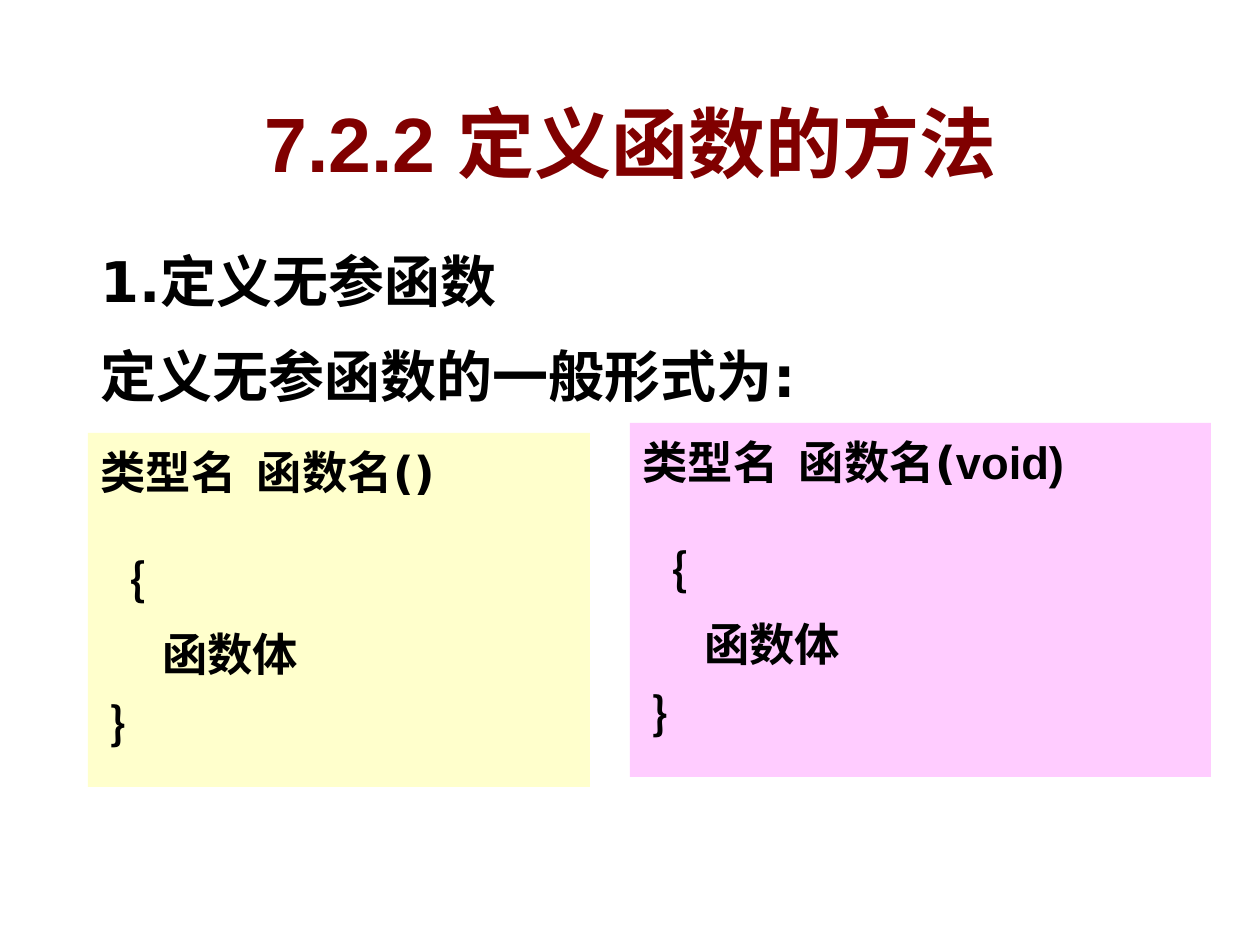
from lxml.etree import SubElement
from pptx import Presentation
from pptx.dml.color import RGBColor
from pptx.enum.shapes import MSO_SHAPE
from pptx.enum.text import MSO_ANCHOR, PP_ALIGN
from pptx.oxml import parse_xml
from pptx.oxml.ns import nsdecls, qn
from pptx.util import Emu, Pt

PIXELS_PER_INCH = 126
MAROON = RGBColor(0x80, 0x00, 0x00)
BLACK = RGBColor(0x00, 0x00, 0x00)
PINK = RGBColor(0xFF, 0xCC, 0xFF)
YELLOW = RGBColor(0xFF, 0xFF, 0xCC)
HANGING_INDENT = 48


def px(length):
    return Emu(round(length * 914400 / PIXELS_PER_INCH))


def place(box, left, top, width, height):
    box.left, box.top, box.width, box.height = map(px, (left, top, width, height))


def add_span(para, text, font="DejaVu Sans", size=32, color=BLACK):
    span = para.add_run()
    span.text = text
    span.font.name = font
    span.font.size = Pt(size)
    span.font.bold = True
    span.font.color.rgb = color
    return span


def add_text_shadow(span):
    effects = parse_xml(
        f'<a:effectLst {nsdecls("a")}>'
        '<a:outerShdw dist="38100" dir="2700000" algn="tl">'
        '<a:srgbClr val="C0C0C0"/></a:outerShdw></a:effectLst>'
    )
    span.font._element.find(qn("a:solidFill")).addnext(effects)


def fill_paragraphs(box, lines, size, spacing, before):
    frame = box.text_frame
    frame.word_wrap = True
    frame.vertical_anchor = MSO_ANCHOR.TOP
    for index, line in enumerate(lines):
        para = frame.add_paragraph() if index else frame.paragraphs[0]
        para.alignment = PP_ALIGN.LEFT
        para.line_spacing = spacing
        para.space_before = Pt(before if index else 0)
        properties = para._p.get_or_add_pPr()
        properties.set("marL", str(px(HANGING_INDENT)))
        properties.set("indent", str(-px(HANGING_INDENT)))
        SubElement(properties, qn("a:buNone"))
        for text, font in line:
            if text == "\n":
                para.add_line_break()
            else:
                add_span(para, text, font=font, size=size)


def add_title(page, text):
    title = page.shapes.title
    place(title, 20, 89, 1221, 106)
    title.text_frame.vertical_anchor = MSO_ANCHOR.MIDDLE
    para = title.text_frame.paragraphs[0]
    para.alignment = PP_ALIGN.CENTER
    add_text_shadow(add_span(para, text, font="Arial", size=44, color=MAROON))


def add_introduction(page, lines):
    box = page.shapes.add_textbox(0, 0, 0, 0)
    place(box, 88, 227, 788, 197)
    fill_paragraphs(box, [[(line, "DejaVu Sans")] for line in lines], 32, 1.2, 8)


def add_code_panel(page, bounds, color, signature):
    panel = page.shapes.add_shape(MSO_SHAPE.RECTANGLE, 0, 0, 0, 0)
    place(panel, *bounds)
    panel.shadow.inherit = False
    panel.fill.solid()
    panel.fill.fore_color.rgb = color
    panel.line.fill.background()
    body = [[(text, "DejaVu Sans")] for text in ("｛", "      函数体", " ｝")]
    fill_paragraphs(panel, [signature + [("\n", None)]] + body, 25.9, 1.1, 7)


def main():
    deck = Presentation()
    deck.slide_width, deck.slide_height = px(1260), px(945)
    page = deck.slides.add_slide(deck.slide_layouts[5])
    add_title(page, "7.2.2 定义函数的方法")
    add_introduction(page, ["1.定义无参函数", "定义无参函数的一般形式为:"])
    add_code_panel(page, (630, 423, 581, 354), PINK,
                   [("类型名  函数名(", "DejaVu Sans"), ("void)", "Arial")])
    add_code_panel(page, (88, 433, 502, 354), YELLOW,
                   [("类型名  函数名()", "DejaVu Sans")])
    deck.save("out.pptx")


if __name__ == "__main__":
    main()
